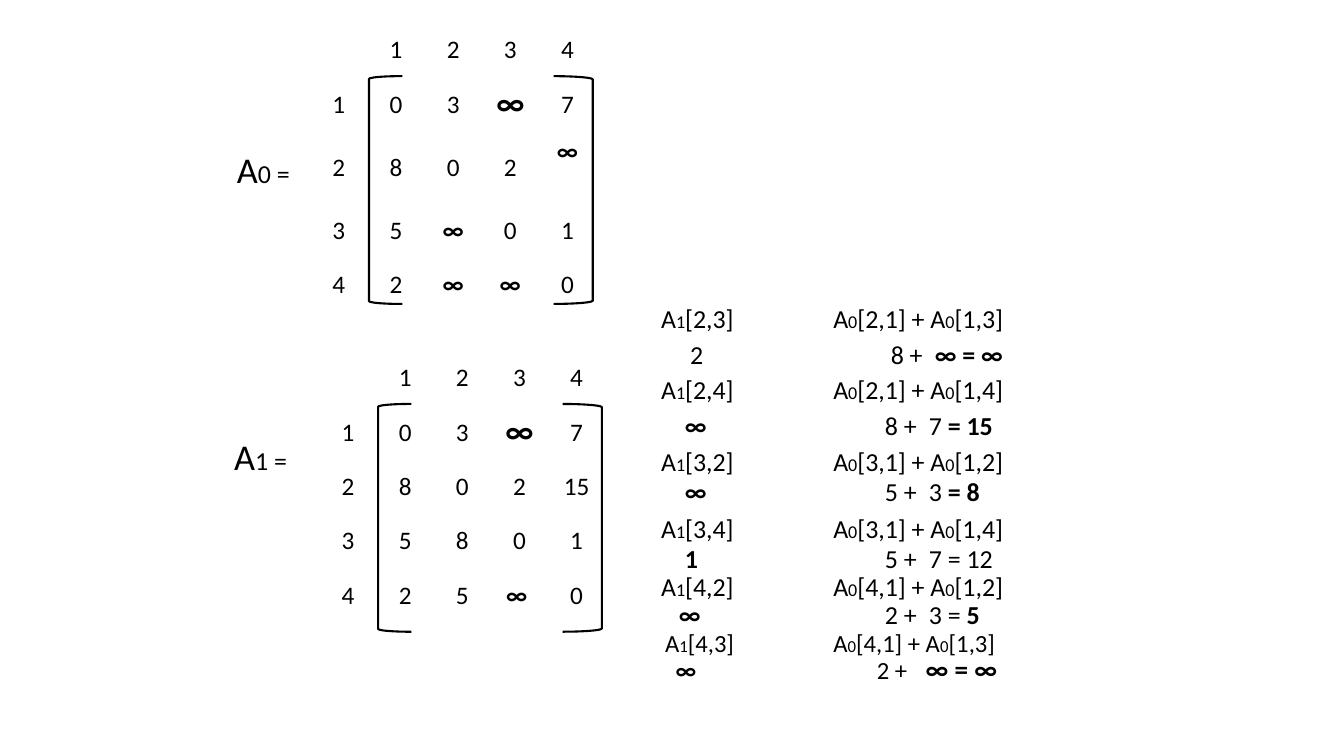
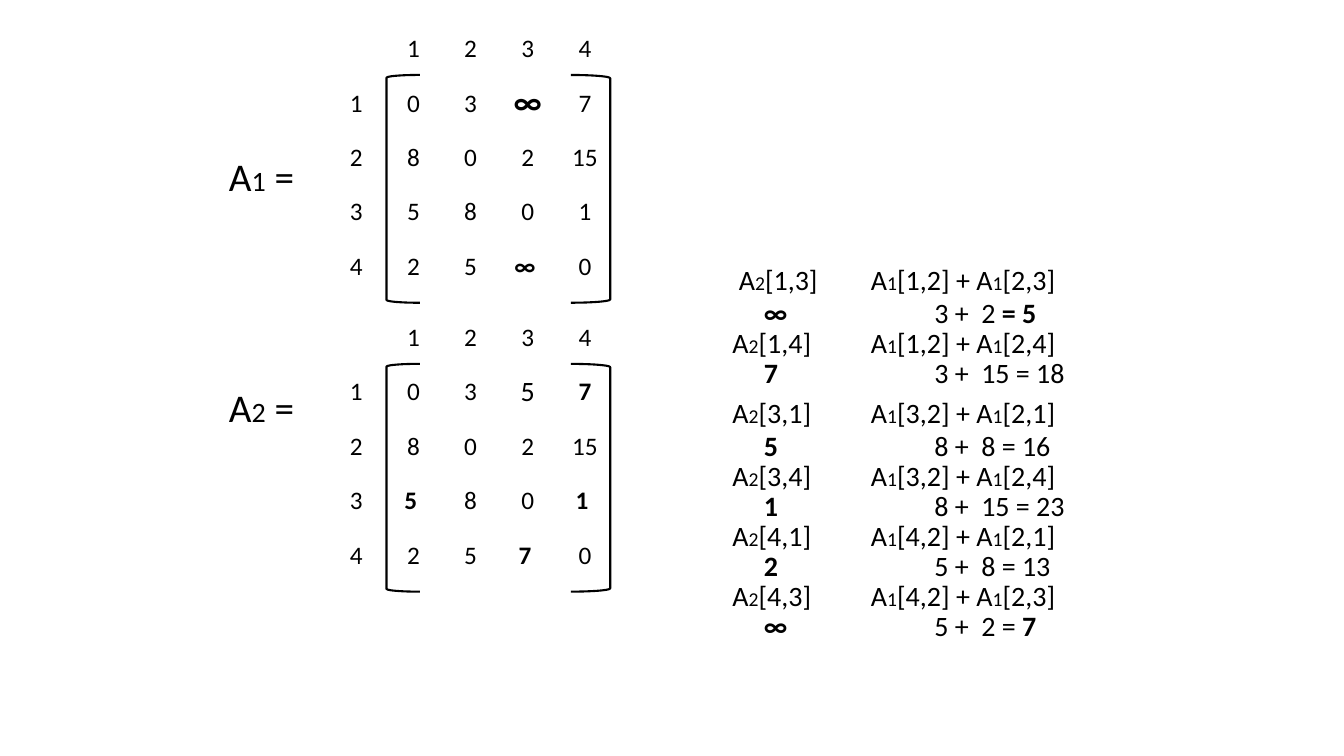
import lxml.etree
import pptx
import pptx.dml.color
import pptx.enum.shapes
import pptx.enum.text
import pptx.oxml.ns
import pptx.util

Cm = pptx.util.Cm
Pt = pptx.util.Pt
Anchor = pptx.enum.text.MSO_ANCHOR
Preset = pptx.enum.shapes.MSO_SHAPE

COLORS = {"ink": "000000"}
FONT = "Calibri"
CELL_WIDTH, CELL_HEIGHT = 1.44, 1.37

# Matrix entries: a leading * means bold, ∞ is always bold
A0 = [
    ["0", "3", "∞", "7"],
    ["8", "0", "2", "∞"],
    ["5", "∞", "0", "1"],
    ["2", "∞", "∞", "0"],
]
A1 = [
    ["0", "3", "∞", "7"],
    ["8", "0", "2", "15"],
    ["5", "8", "0", "1"],
    ["2", "5", "∞ ", "0"],
]
A2 = [
    ["0", "3", "5", "*7"],
    ["8", "0", "2", "15"],
    ["*5 ", "8", "0", "*1 "],
    ["2", "5", "*7 ", "0"],
]

# Steps: cell, old value, first addend, plain rest, bold rest,
# then what differs from the layout of the list
STEPS_1 = [
    ((2, 3), "2", "8 +", "", "∞ = ∞",
     dict(value_gap=5.5, value_x=1.39, sum_x=6.45, old_bold=False)),
    ((2, 4), "∞", "8 +", "7 ", "= 15", dict(gap=5.5, value_gap=5.5)),
    ((3, 2), "∞", "5 +", "3 ", "= 8", dict(gap=5.5, value_gap=1.4)),
    ((3, 4), "1", "5 +", "7 = 12", "", dict(gap=6.4, value_gap=1.4)),
    ((4, 2), "∞", "2 +", "3 = ", "5", dict(value_x=1.11)),
    ((4, 3), "∞", "2 +", "", "∞ = ∞",
     dict(cell_x=0.76, value_x=1.03, sum_x=6.1, addend_width=1.23,
          size=17.6, small=12, bold_size=19.4)),
]
STEPS_2 = [
    ((1, 3), "∞", "3 +", "2 ", "= 5", dict(value_gap=2, cell_x=0.62)),
    ((1, 4), "7", "3 +", "15 = 18", "", {}),
    ((3, 1), "5", "8 +", "8 = 16", "", dict(gap=7, value_gap=2)),
    ((3, 4), "1", "8 +", "15 = 23", "", {}),
    ((4, 1), "2", "5 +", "8 = 13", "", {}),
    ((4, 3), "∞", "5 +", "2 = ", "7", {}),
]
LAYOUT_1 = dict(gap=0, value_gap=0, cell_x=0.66, value_x=1.26, formula_x=5,
                sum_x=6.3, addend_width=1.11, size=18.5, small=12.9,
                bold_size=None, line=20, old_bold=True)
LAYOUT_2 = dict(LAYOUT_1, cell_x=0.46, value_x=1.25, formula_x=3.95,
                sum_x=5.55, addend_width=1.18, size=20, small=14, line=21.5)


def add_text(paragraph, text, size=18, bold=False):
    run = paragraph.add_run()
    run.text = text
    run.font.name = FONT
    run.font.size = Pt(size)
    run.font.bold = bold
    run.font.color.rgb = pptx.dml.color.RGBColor.from_string(COLORS["ink"])


def add_text_frame(slide, left, top, width, height):
    box = slide.shapes.add_textbox(Cm(left), Cm(top), Cm(width), Cm(height))
    frame = box.text_frame
    frame.word_wrap = True
    frame.margin_left = frame.margin_right = 0
    frame.margin_top = frame.margin_bottom = 0
    return frame


def set_tabs(paragraph, positions):
    qualified = pptx.oxml.ns.qn
    properties = paragraph._p.get_or_add_pPr()
    tab_list = lxml.etree.SubElement(properties, qualified("a:tabLst"))
    for position in positions:
        lxml.etree.SubElement(tab_list, qualified("a:tab"),
                              pos=str(int(Cm(position))), algn="l")


def add_label(slide, left, top, index, size, small, equals_size):
    """Matrix name, such as A0 ="""
    paragraph = add_text_frame(slide, left, top, 2.4, 1.3).paragraphs[0]
    add_text(paragraph, "A", size=size)
    add_text(paragraph, str(index), size=small)
    add_text(paragraph, " =", size=equals_size)


def add_matrix(slide, left, top, entries, sizes, tall_cell=None):
    """Numbered grid with a bracket on each side"""
    numbers = ["1", "2", "3", "4"]
    rows = [[""] + numbers]
    rows += [[number] + row for number, row in zip(numbers, entries)]
    count = len(rows)
    frame = slide.shapes.add_table(count, count, Cm(left), Cm(top),
                                   Cm(CELL_WIDTH * count), Cm(CELL_HEIGHT * count))
    table = frame.table
    table.first_row = table.horz_banding = False
    for column in table.columns:
        column.width = Cm(CELL_WIDTH)
    for row_index, row in enumerate(rows):
        table.rows[row_index].height = Cm(CELL_HEIGHT)
        for column_index, entry in enumerate(row):
            cell = table.cell(row_index, column_index)
            cell.fill.background()
            cell.vertical_anchor = Anchor.MIDDLE
            paragraph = cell.text_frame.paragraphs[0]
            paragraph.alignment = pptx.enum.text.PP_ALIGN.CENTER
            if entry:
                add_text(paragraph, entry.lstrip("*"),
                         size=sizes.get((row_index, column_index), 18),
                         bold=entry[0] in "*∞")
    # One row may be taller, with its entry at the top
    if tall_cell:
        table.rows[tall_cell[0]].height = Cm(1.81)
        table.cell(*tall_cell).vertical_anchor = Anchor.TOP

    # Brackets
    for preset, offset, width in ((Preset.LEFT_BRACKET, 1.48, 0.84),
                                  (Preset.RIGHT_BRACKET, 6.13, 0.99)):
        bracket = slide.shapes.add_shape(preset, Cm(left + offset), Cm(top + 1.34),
                                         Cm(width), Cm(5.74))
        bracket.shadow.inherit = False
        bracket.fill.background()
        bracket.line.color.rgb = pptx.dml.color.RGBColor.from_string(COLORS["ink"])
        bracket.line.width = Pt(1.5)


def add_term(paragraph, index, row, column, style):
    """Entry name, such as A1[2,3]"""
    add_text(paragraph, "A", size=style["size"])
    add_text(paragraph, str(index), size=style["small"])
    add_text(paragraph, f"[{row},{column}]", size=style["size"])


def add_steps(slide, left, top, pivot, steps, layout):
    """Two lines for each entry: the rule and its values"""
    frame = add_text_frame(slide, left, top, 11, 9.6)
    for index, step in enumerate(steps):
        (row, column), old_value, addend, plain, strong, changes = step
        style = {**layout, **changes}
        size = style["size"]
        rule = frame.add_paragraph() if index else frame.paragraphs[0]
        values = frame.add_paragraph()
        for paragraph, gap in ((rule, style["gap"]), (values, style["value_gap"])):
            paragraph.line_spacing = Pt(style["line"])
            paragraph.space_before = Pt(gap)

        # Rule
        set_tabs(rule, (style["cell_x"], style["formula_x"]))
        add_text(rule, "\t", size=size)
        add_term(rule, pivot, row, column, style)
        add_text(rule, "\t", size=size)
        add_term(rule, pivot - 1, row, pivot, style)
        add_text(rule, " + ", size=size)
        add_term(rule, pivot - 1, pivot, column, style)

        # Values
        sum_x = style["sum_x"]
        set_tabs(values, (style["value_x"], sum_x, sum_x + style["addend_width"]))
        add_text(values, "\t" + old_value, size=size, bold=style["old_bold"])
        add_text(values, f"\t{addend}\t{plain}", size=size)
        if strong:
            add_text(values, strong, size=style["bold_size"] or size, bold=True)


def build_first_slide(slide):
    add_label(slide, 5.97, 3.7, 0, 25.9, 18.5, 18.5)
    add_matrix(slide, 7.82, 0.58, A0, {(1, 3): 24}, tall_cell=(2, 4))
    add_label(slide, 5.9, 10.94, 1, 25.9, 18.5, 18.5)
    add_matrix(slide, 8.05, 8.84, A1, {(1, 3): 24})
    add_steps(slide, 16, 7.7, 1, STEPS_1, LAYOUT_1)


def build_second_slide(slide):
    add_label(slide, 5.77, 3.83, 1, 28, 20, 28)
    add_matrix(slide, 8.26, 0.55, A1, {(1, 3): 24})
    add_label(slide, 5.77, 9.67, 2, 28, 20, 28)
    add_matrix(slide, 8.26, 7.83, A2, {(1, 3): 20})
    add_steps(slide, 18, 6.7, 2, STEPS_2, LAYOUT_2)


def main():
    presentation = pptx.Presentation()
    presentation.slide_width = Cm(33.87)
    presentation.slide_height = Cm(19.05)
    for build in (build_first_slide, build_second_slide):
        build(presentation.slides.add_slide(presentation.slide_layouts[6]))
    presentation.save("out.pptx")


if __name__ == "__main__":
    main()
